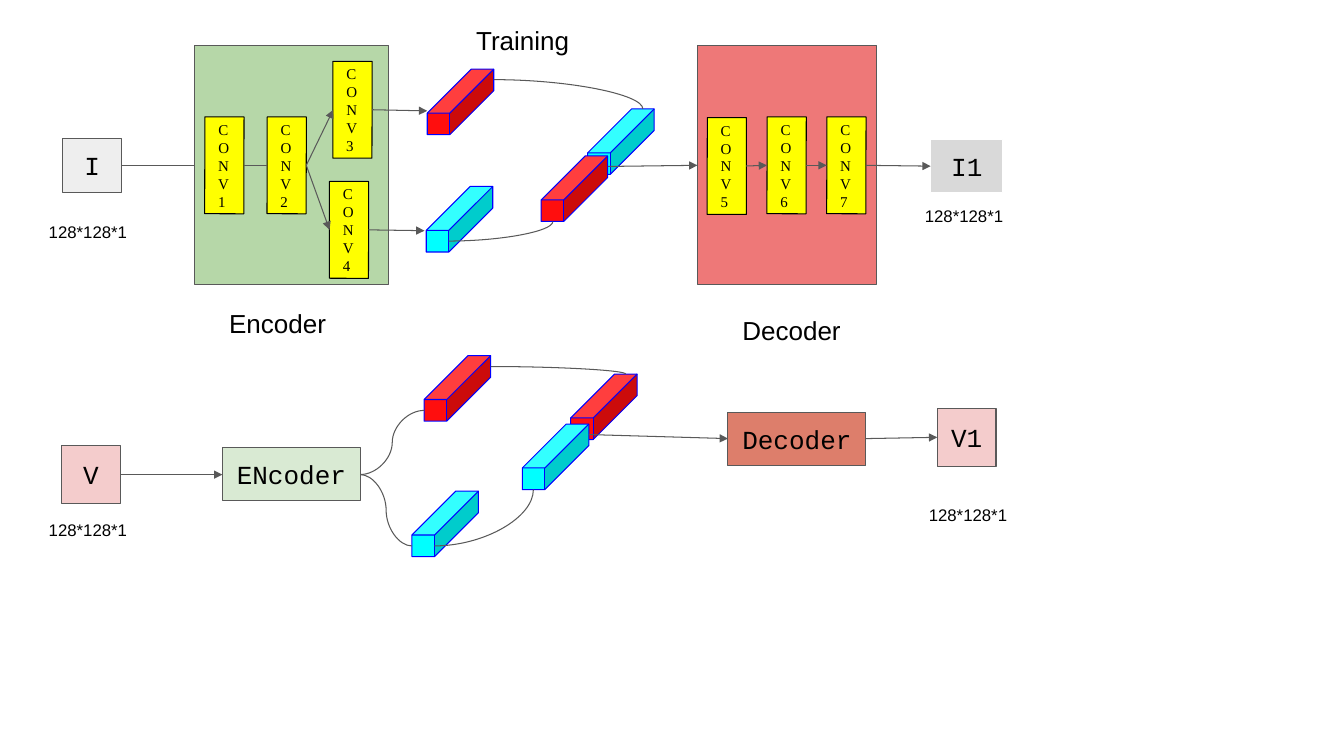
from dataclasses import dataclass

import pptx
import pptx.dml.color
import pptx.enum.shapes
import pptx.enum.text
import pptx.oxml.ns
import pptx.util
from lxml import etree

Pt = pptx.util.Pt
Kind = pptx.enum.shapes.MSO_SHAPE
Link = pptx.enum.shapes.MSO_CONNECTOR
Align = pptx.enum.text.PP_ALIGN
Anchor = pptx.enum.text.MSO_ANCHOR
Fit = pptx.enum.text.MSO_AUTO_SIZE
qn = pptx.oxml.ns.qn


@dataclass(frozen=True)
class Theme:
    ink: str = "000000"
    gray: str = "595959"
    white: str = "FFFFFF"
    blue: str = "0000FF"
    red: str = "FF0E0E"
    cyan: str = "00FFFF"
    yellow: str = "FFFF00"
    pink: str = "F4CCCC"
    input_fill: str = "EEEEEE"
    output_fill: str = "D9D9D9"
    encoder_panel: str = "B6D7A8"
    decoder_panel: str = "EE7878"
    encoder_box: str = "D9EAD3"
    decoder_box: str = "DD7E6B"
    sans: str = "Arial"
    mono: str = "Courier New"
    serif: str = "Times New Roman"
    large: float = 18.6
    small: float = 12
    tiny: float = 10.7
    stroke: float = 0.75
    inset: float = 9.6


def rgb(value):
    return pptx.dml.color.RGBColor.from_string(value)


class Diagram:
    def __init__(self, page, theme):
        self.page = page
        self.theme = theme

    def add_text(self, shape, lines, font, size, align=Align.LEFT):
        frame = shape.text_frame
        frame.word_wrap = True
        frame.margin_left = frame.margin_right = Pt(self.theme.inset)
        frame.margin_top = frame.margin_bottom = Pt(self.theme.inset)
        for index, line in enumerate(lines):
            para = frame.add_paragraph() if index else frame.paragraphs[0]
            para.alignment = align
            span = para.add_run()
            span.text = line
            span.font.name = font
            span.font.size = Pt(size)
            span.font.color.rgb = rgb(self.theme.ink)

    def block(self, kind, left, top, width, height, fill, line):
        shape = self.page.shapes.add_shape(kind, Pt(left), Pt(top), Pt(width), Pt(height))
        shape.shadow.inherit = False
        shape.fill.solid()
        shape.fill.fore_color.rgb = rgb(fill)
        shape.line.color.rgb = rgb(line)
        shape.line.width = Pt(self.theme.stroke)
        return shape

    def panel(self, left, top, width, height, fill):
        self.block(Kind.RECTANGLE, left, top, width, height, fill, self.theme.gray)

    def node(self, text, left, top, width, height, fill, line=None):
        box = self.block(Kind.RECTANGLE, left, top, width, height, fill, line or self.theme.gray)
        box.text_frame.vertical_anchor = Anchor.MIDDLE
        self.add_text(box, [text], self.theme.mono, self.theme.large, Align.CENTER)

    def layer(self, number, left, top):
        box = self.block(Kind.RECTANGLE, left, top, 28, 69.2, self.theme.yellow, self.theme.ink)
        box.rotation = 0.1
        box.text_frame.vertical_anchor = Anchor.MIDDLE
        self.add_text(box, ["CONV", str(number)], self.theme.serif, self.theme.tiny)

    def feature(self, left, top, fill):
        cube = self.block(Kind.CUBE, left, top, 47.5, 46.8, fill, self.theme.blue)
        cube.adjustments[0] = 0.67

    def label(self, text, left, top, width, height, size):
        box = self.page.shapes.add_textbox(Pt(left), Pt(top), Pt(width), Pt(height))
        self.add_text(box, [text], self.theme.sans, size)
        box.text_frame.auto_size = Fit.SHAPE_TO_FIT_TEXT

    def link(self, start, end, kind=Link.STRAIGHT, arrow=False, preset=None):
        ends = [Pt(value) for value in (*start, *end)]
        connector = self.page.shapes.add_connector(kind, *ends)
        connector.line.color.rgb = rgb(self.theme.gray)
        connector.line.width = Pt(self.theme.stroke)
        properties = connector.element.spPr
        if preset:
            properties.find(qn("a:prstGeom")).set("prst", preset)
        if arrow:
            etree.SubElement(properties.find(qn("a:ln")), qn("a:tailEnd"), type="triangle")
        etree.SubElement(properties, qn("a:effectLst"))


def draw_blocks(diagram, theme):
    diagram.node("I", 44.6, 99.2, 42.4, 38, theme.input_fill)
    diagram.node("V", 43.9, 318.2, 42, 41.6, theme.pink)
    diagram.panel(139, 32.4, 138.8, 170.6, theme.encoder_panel)
    diagram.panel(498.2, 32.4, 128.2, 170.6, theme.decoder_panel)
    layers = [(146.3, 83.5), (190.8, 83.5), (237.8, 43.8), (235.3, 129.6),
              (505.2, 84), (547.9, 83.5), (590.6, 83.5)]
    for number, spot in enumerate(layers, 1):
        diagram.layer(number, *spot)
    diagram.node("I1", 664.8, 99.8, 51.6, 37.6, theme.output_fill, theme.white)
    diagram.node("ENcoder", 158.9, 319.5, 98.6, 38, theme.encoder_box)
    diagram.node("Decoder", 520, 294.6, 98.6, 38, theme.decoder_box)
    diagram.node("V1", 669.5, 291.6, 42, 41.6, theme.pink)
    for left, top, fill in [
        (305.2, 49.4, theme.red), (304.5, 133.2, theme.cyan),
        (419.8, 77.8, theme.cyan), (386.6, 111.4, theme.red),
        (303, 254, theme.red), (294.3, 350.8, theme.cyan),
        (407.6, 267.2, theme.red), (373.1, 302.9, theme.cyan),
    ]:
        diagram.feature(left, top, fill)


def draw_labels(diagram, theme):
    for left, top in [(25.2, 151.2), (25.2, 364.3), (651, 139.7), (653.8, 353)]:
        diagram.label("128*128*1", left, top, 79.9, 33.8, theme.small)
    for text, left, top, width in [("Encoder", 154, 210.2, 91.4),
                                   ("Decoder", 520.6, 215, 99.4),
                                   ("Training", 330.5, 7.9, 128.2)]:
        diagram.label(text, left, top, width, 41.8, theme.large)


def draw_links(diagram):
    axis = 118.1
    diagram.link((87, axis), (139, axis))
    diagram.link((174.3, axis), (190.8, axis))
    for start, end in [
        ((218.8, axis), (238, 78.5)), ((218.8, axis), (235.4, 164.2)),
        ((265.8, 78.4), (305.2, 79.2)), ((263.2, 164.2), (303.2, 164.8)),
        ((434.2, 118.9), (498.2, axis)), ((533, 118.6), (547.9, axis)),
        ((576, axis), (590.6, axis)), ((618.6, axis), (664.8, 118.7)),
        ((85.9, 339), (158.9, 339)), ((420.5, 310.4), (520, 313.3)),
        ((618.6, 313.3), (669.5, 312.4)),
    ]:
        diagram.link(start, end, arrow=True)
    for start, end in [
        ((352.8, 56.9), (459.2, 77.8)), ((320.4, 172.2), (394.8, 158.4)),
        ((350.6, 261.8), (447.1, 267.2)), ((310.3, 390), (381, 349.8)),
    ]:
        diagram.link(start, end, Link.CURVE, preset="curvedConnector2")
    for end in [(303, 293.2), (294.3, 390)]:
        diagram.link((257.4, 339), end, Link.CURVE)


def main():
    deck = pptx.Presentation()
    deck.slide_width = Pt(960)
    deck.slide_height = Pt(540)
    page = deck.slides.add_slide(deck.slide_layouts[6])
    theme = Theme()
    diagram = Diagram(page, theme)
    draw_blocks(diagram, theme)
    draw_links(diagram)
    draw_labels(diagram, theme)
    deck.save("out.pptx")


if __name__ == "__main__":
    main()
